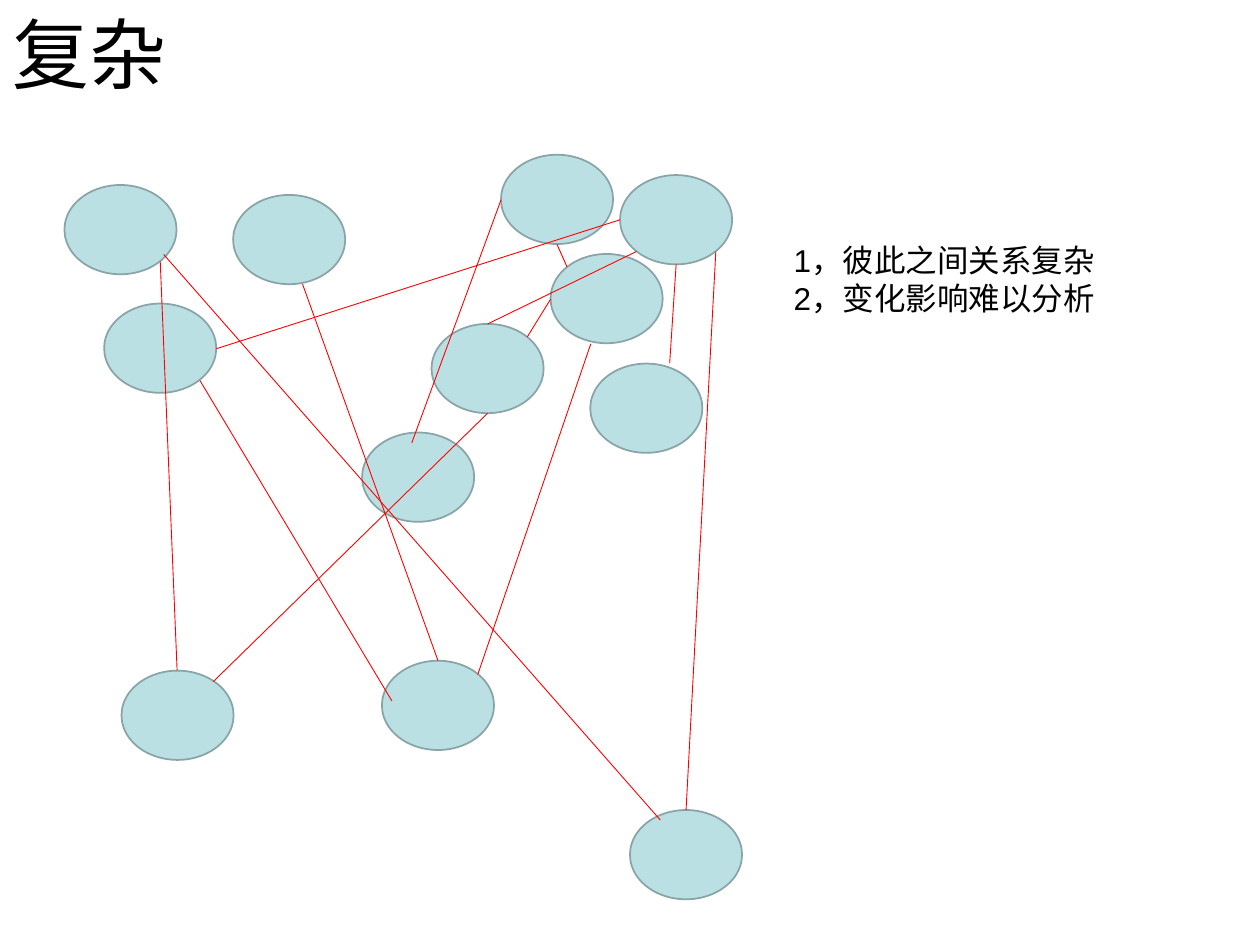
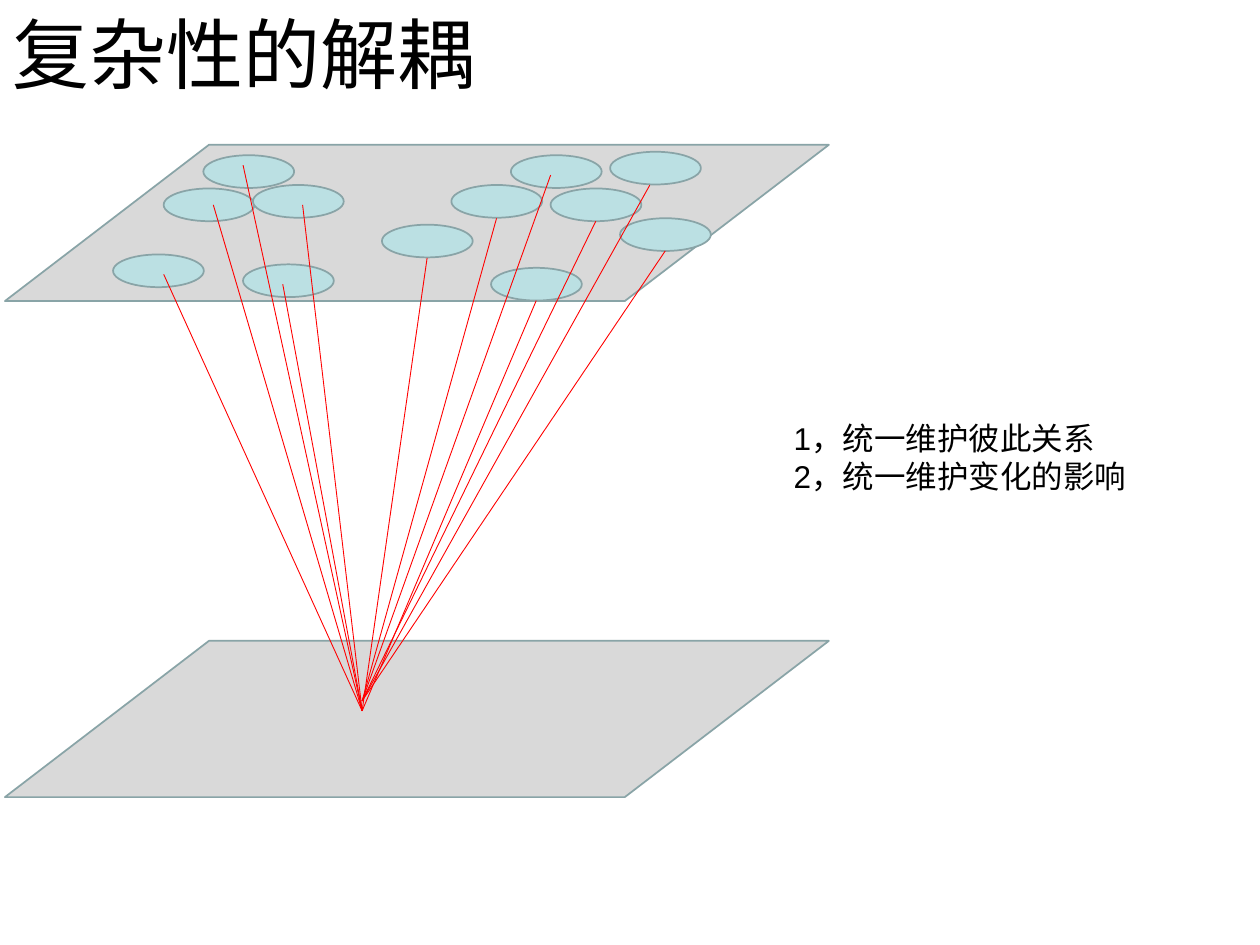
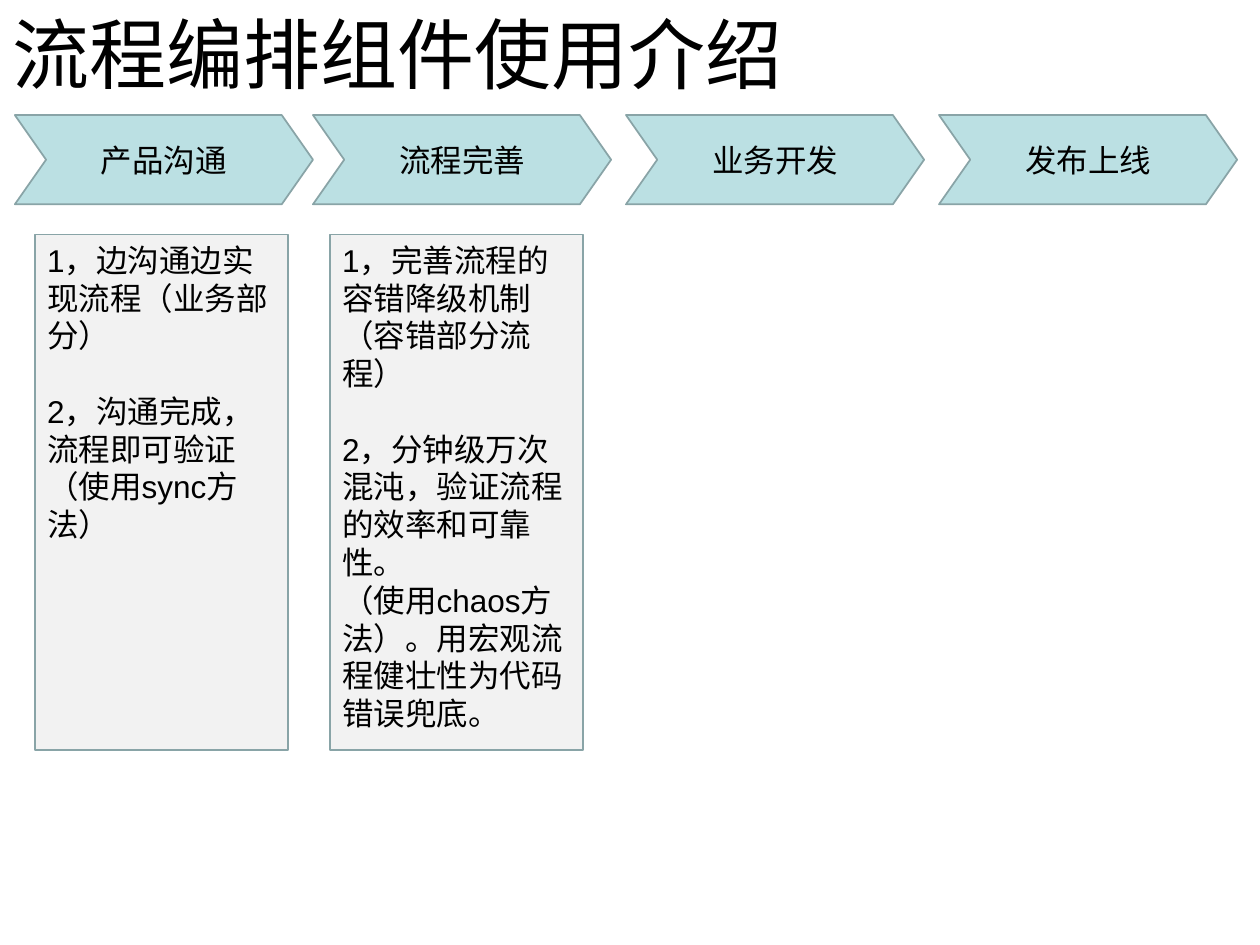
from pptx import Presentation
from pptx.dml.color import RGBColor
from pptx.enum.shapes import MSO_CONNECTOR, MSO_SHAPE
from pptx.enum.text import MSO_ANCHOR, MSO_AUTO_SIZE, PP_ALIGN
from pptx.oxml.ns import qn
from pptx.util import Cm, Pt
from lxml.etree import SubElement

COLORS = {
    "text": "000000",
    "node": "BBE0E3",
    "plane": "D9D9D9",
    "panel": "F2F2F2",
    "outline": "89A4A7",
    "relation": "FF0000",
}
FONT = "Arial"
BODY_SIZE = 18
ITEM_GAP = 21.5

# Slide 1: left and top of each node, then both ends of each relation
TANGLED_SIZE = (2.26, 1.8)
TANGLED_NODES = [
    (1.3, 3.73), (2.1, 6.12), (4.7, 3.93), (2.45, 13.52),
    (7.3, 8.72), (12.7, 16.33), (11.1, 5.12), (11.9, 7.33),
    (8.7, 6.53), (7.7, 13.32), (10.1, 3.12), (12.5, 3.53),
]
TANGLED_RELATIONS = [
    ((11.23, 4.93), (11.43, 5.38)),
    ((13.63, 5.33), (13.5, 7.32)),
    ((11.1, 6.03), (10.63, 6.79)),
    ((14.43, 5.07), (13.83, 16.33)),
    ((12.83, 5.07), (9.83, 6.53)),
    ((12.5, 4.43), (4.36, 7.03)),
    ((10.1, 4.03), (8.3, 8.93)),
    ((9.83, 8.33), (4.3, 13.74)),
    ((11.91, 6.93), (9.63, 13.6)),
    ((6.1, 5.73), (8.83, 13.32)),
    ((3.23, 5.27), (3.57, 13.51)),
    ((3.3, 5.13), (13.31, 16.53)),
    ((4.03, 7.67), (7.9, 14.13)),
]

# Slide 2: nodes on the upper plane, relations running to hubs on the lower one
PLANE_TOPS = (2.92, 12.92)
FLAT_SIZE = (1.83, 0.66)
FLAT_NODES = [
    (4.1, 3.13), (3.3, 3.8), (5.1, 3.73), (2.28, 5.13),
    (4.9, 5.33), (9.9, 5.4), (7.7, 4.53), (10.3, 3.13),
    (12.3, 3.06), (12.5, 4.4), (11.1, 3.8), (9.1, 3.73),
]
HUB_STARTS = {
    (7.3, 14.33): [(3.3, 5.53), (5.7, 5.73), (6.1, 4.13), (4.9, 3.33),
                   (4.3, 4.13), (10.81, 6.06), (8.61, 5.2)],
    (7.3, 14.13): [(10.01, 4.4), (12.01, 4.46), (13.41, 5.06),
                   (13.1, 3.73), (11.1, 3.53)],
}

# Slide 3: left and name of each stage, then left and paragraphs of each panel
STAGES = [(0.3, "产品沟通"), (6.31, "流程完善"),
          (12.62, "业务开发"), (18.93, "发布上线")]
PANELS = [
    (0.7, ["1，边沟通边实现流程（业务部分）",
           "2，沟通完成，流程即可验证",
           "（使用sync方法）"]),
    (6.65, ["1，完善流程的容错降级机制（容错部分流程）",
            "2，分钟级万次混沌，验证流程的效率和可靠性。",
            "（使用chaos方法）。用宏观流程健壮性为代码错误兜底。"]),
]


def rgb(name):
    return RGBColor.from_string(COLORS[name])


def write(tf, lines, size=BODY_SIZE, align=PP_ALIGN.LEFT, anchor=MSO_ANCHOR.TOP):
    """Fill a text frame, keeping punctuation inside its margins."""
    tf.word_wrap = True
    tf.vertical_anchor = anchor
    tf.text = "\n".join(lines)
    for p in tf.paragraphs:
        p.alignment = align
        p._p.get_or_add_pPr().set("hangingPunct", "0")
        for r in p.runs:
            r.font.size = Pt(size)
            r.font.name = FONT
            r.font.color.rgb = rgb("text")


def add_titled_slide(prs, title):
    s = prs.slides.add_slide(prs.slide_layouts[5])
    sp = s.shapes.title
    sp.left, sp.top, sp.width, sp.height = Cm(0), Cm(0), prs.slide_width, Cm(2.12)
    write(sp.text_frame, [title], size=44, anchor=MSO_ANCHOR.MIDDLE)
    sp.text_frame.auto_size = MSO_AUTO_SIZE.NONE
    return s


def add_filled(s, kind, left, top, width, height, fill):
    """Add a preset shape with the shared outline."""
    sp = s.shapes.add_shape(kind, Cm(left), Cm(top), Cm(width), Cm(height))
    sp.shadow.inherit = False
    sp.fill.solid()
    sp.fill.fore_color.rgb = rgb(fill)
    sp.line.color.rgb = rgb("outline")
    sp.line.width = Pt(1)
    return sp


def add_nodes(s, places, size):
    for left, top in places:
        add_filled(s, MSO_SHAPE.OVAL, left, top, *size, "node")


def add_relation(s, start, end):
    points = [Cm(v) for v in (*start, *end)]
    line = s.shapes.add_connector(MSO_CONNECTOR.STRAIGHT, *points)
    line.line.color.rgb = rgb("relation")
    line.line.width = Pt(0.5)
    SubElement(line._element.spPr, qn("a:effectLst"))


def add_plane(s, top):
    sp = add_filled(s, MSO_SHAPE.PARALLELOGRAM, 0.1, top, 16.61, 3.15, "plane")
    sp.adjustments[0] = 1.306


def add_remarks(s, top, height, lines):
    sp = s.shapes.add_textbox(Cm(15.75), Cm(top), Cm(7.82), Cm(height))
    write(sp.text_frame, lines)
    sp.text_frame.auto_size = MSO_AUTO_SIZE.SHAPE_TO_FIT_TEXT


def add_stage(s, left, name):
    sp = add_filled(s, MSO_SHAPE.CHEVRON, left, 2.32, 6.01, 1.8, "node")
    sp.adjustments[0] = 0.35
    write(sp.text_frame, [name], align=PP_ALIGN.CENTER, anchor=MSO_ANCHOR.MIDDLE)


def add_panel(s, left, lines):
    sp = add_filled(s, MSO_SHAPE.RECTANGLE, left, 4.73, 5.11, 10.39, "panel")
    write(sp.text_frame, lines)
    sp.text_frame.paragraphs[1].space_before = Pt(ITEM_GAP)


def build_complexity(prs):
    s = add_titled_slide(prs, "复杂")
    add_nodes(s, TANGLED_NODES, TANGLED_SIZE)
    for start, end in TANGLED_RELATIONS:
        add_relation(s, start, end)
    add_remarks(s, 4.73, 1.78, ["1，彼此之间关系复杂", "2，变化影响难以分析"])


def build_decoupling(prs):
    s = add_titled_slide(prs, "复杂性的解耦")
    for top in PLANE_TOPS:
        add_plane(s, top)
    add_nodes(s, FLAT_NODES, FLAT_SIZE)
    for hub, starts in HUB_STARTS.items():
        for start in starts:
            add_relation(s, start, hub)
    add_remarks(s, 8.32, 3.3, ["1，统一维护彼此关系", "2，统一维护变化的影响"])


def build_workflow(prs):
    s = add_titled_slide(prs, "流程编排组件使用介绍")
    for left, name in STAGES:
        add_stage(s, left, name)
    for left, lines in PANELS:
        add_panel(s, left, lines)


def main():
    prs = Presentation()
    prs.slide_width, prs.slide_height = Cm(25.4), Cm(19.05)
    build_complexity(prs)
    build_decoupling(prs)
    build_workflow(prs)
    prs.save("out.pptx")


if __name__ == "__main__":
    main()
